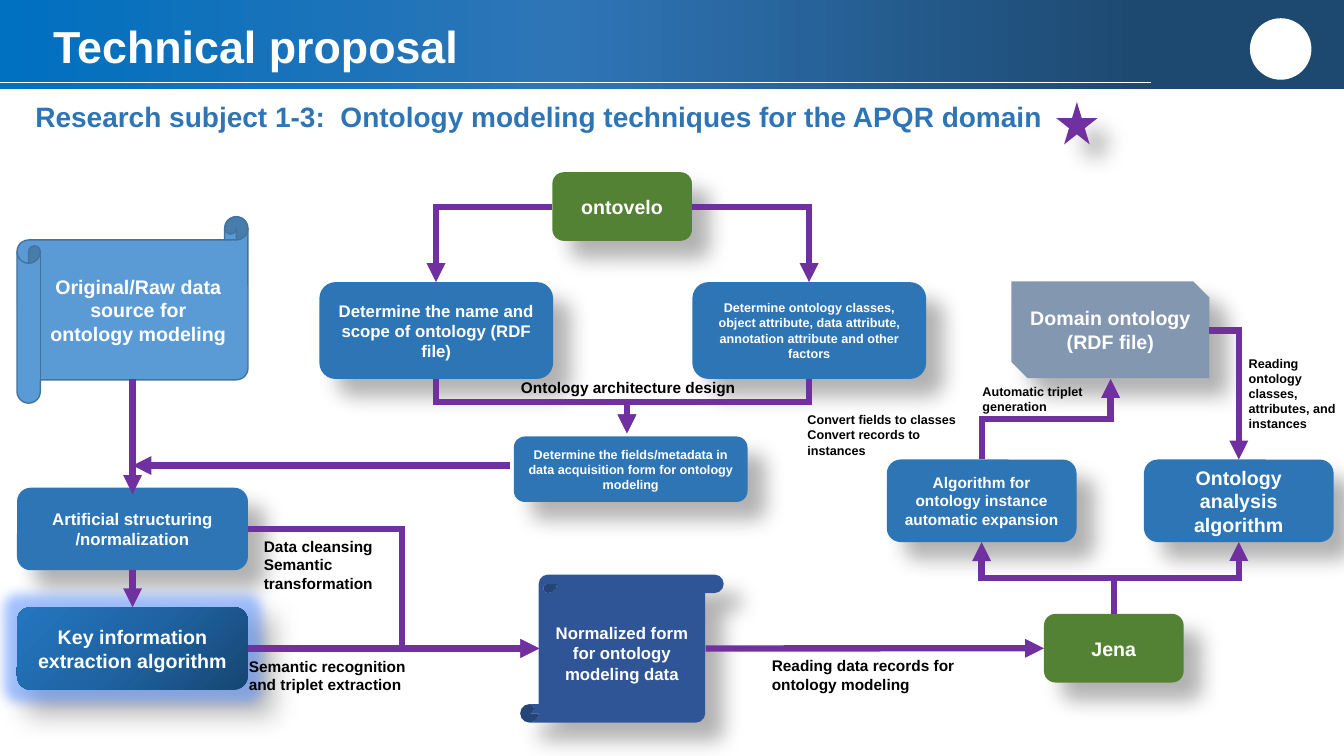
from dataclasses import dataclass
from typing import Optional

import lxml.etree
import pptx
import pptx.dml.color
import pptx.enum.shapes
import pptx.enum.text
import pptx.oxml.ns
import pptx.util

Cm, Pt = pptx.util.Cm, pptx.util.Pt
RGB = pptx.dml.color.RGBColor
Kind = pptx.enum.shapes.MSO_SHAPE
Link = pptx.enum.shapes.MSO_CONNECTOR
Align = pptx.enum.text.PP_ALIGN
Anchor = pptx.enum.text.MSO_ANCHOR
qn = pptx.oxml.ns.qn

WHITE = RGB(0xFF, 0xFF, 0xFF)
BLACK = RGB(0, 0, 0)
BLUE = RGB(0x2E, 0x75, 0xB6)
NAVY = RGB(0x2F, 0x55, 0x97)
SKY = RGB(0x5B, 0x9B, 0xD5)
EDGE = RGB(0x43, 0x73, 0x9E)
GREEN = RGB(0x54, 0x82, 0x35)
SLATE = RGB(0x84, 0x97, 0xB0)
PURPLE = RGB(0x70, 0x30, 0xA0)
GLOW = RGB(0x66, 0x99, 0xFF)
BANNER = [(14, RGB(0x1D, 0x48, 0x6F)), (58, BLUE), (100, RGB(0, 0x70, 0xC0))]
SHEEN = [(0, RGB(0x16, 0x46, 0x72)), (50, RGB(0x1F, 0x63, 0xA2)), (100, RGB(0x24, 0x76, 0xC0))]


@dataclass
class Box:
    name: str
    x: float
    y: float
    w: float
    h: float
    fill: RGB
    text: str = ""
    size: int = 12
    kind: Kind = Kind.ROUNDED_RECTANGLE
    shade: bool = True


@dataclass
class Arrow:
    x1: float
    y1: float
    x2: float
    y2: float
    start: Optional[tuple[str, int]] = None
    end: Optional[tuple[str, int]] = None


@dataclass
class Bend:
    """Elbow line; turn is the share of the way to the first corner, None for one corner."""
    x1: float
    y1: float
    x2: float
    y2: float
    turn: Optional[float] = None
    down: bool = False


@dataclass
class Note:
    x: float
    y: float
    w: float
    h: float
    text: str
    size: int
    color: RGB = BLACK
    inset: float = 0.25
    wrap: bool = True


BOXES = [
    Box("scope", 8.05, 7.11, 5.89, 2.44, BLUE, "Determine the name and scope of ontology (RDF file)"),
    Box("star", 26.62, 2.57, 1.04, 1.07, PURPLE, kind=Kind.STAR_5_POINT),
    Box("class", 17.45, 7.11, 5.89, 2.44, BLUE, "Determine ontology classes, object attribute, "
        "data attribute, annotation attribute and other factors", 9),
    Box("field", 12.95, 11, 5.89, 1.65, BLUE,
        "Determine the fields/metadata in data acquisition form for ontology modeling", 9),
    Box("tool", 13.92, 4.34, 3.52, 1.73, GREEN, "ontovelo", 14),
    Box("form", 13.11, 14.48, 5.13, 3.73, NAVY, "Normalized form for ontology modeling data",
        kind=Kind.VERTICAL_SCROLL),
    Box("raw", 0.43, 5.46, 5.82, 4.7, SKY, "Original/Raw data source for ontology modeling", 14,
        Kind.HORIZONTAL_SCROLL, False),
    Box("clean", 0.43, 12.29, 5.82, 2.08, BLUE, "Artificial structuring /normalization"),
    Box("key", 0.43, 15.3, 5.82, 2.08, BLUE, "Key information extraction algorithm", 14),
    Box("jena", 26.31, 15.47, 3.52, 1.73, GREEN, "Jena", 14),
    Box("expand", 22.35, 11.58, 4.78, 2.08, BLUE,
        "Algorithm for ontology instance automatic expansion", 11),
    Box("domain", 25.49, 7.09, 4.99, 2.44, SLATE, "Domain ontology (RDF file)", 14,
        Kind.SNIP_2_DIAG_RECTANGLE),
    Box("study", 28.83, 11.58, 4.78, 2.08, BLUE, "Ontology analysis algorithm", 14),
]
ARROWS = [
    Arrow(3.34, 9.55, 3.34, 12.45),
    Arrow(3.34, 14.37, 3.34, 15.3, ("clean", 2), ("key", 0)),
    Arrow(6.25, 16.34, 13.59, 16.34, ("key", 3)),
    Arrow(12.85, 11.73, 3.34, 11.73),
    Arrow(17.78, 16.34, 26.31, 16.34, None, ("jena", 1)),
]
BENDS = [
    Bend(6.25, 13.33, 13.59, 16.34, 0.53),
    Bend(13.92, 5.21, 10.99, 7.11),
    Bend(17.44, 5.21, 20.39, 7.11),
    Bend(10.99, 9.55, 15.8, 10.92, 0.43, True),
    Bend(20.39, 9.55, 15.8, 10.92, 0.43, True),
    Bend(28.07, 15.47, 24.74, 13.66, 0.5, True),
    Bend(24.74, 11.58, 27.99, 9.55, 0.5, True),
    Bend(30.48, 8.33, 31.22, 11.58),
    Bend(27.71, 14.57, 31.22, 13.66),
]
NOTES = [
    Note(1.09, 0.53, 28.5, 1.22, "Technical proposal", 32, WHITE),
    Note(0.64, 2.38, 26.09, 1.12,
         "Research subject 1-3:  Ontology modeling techniques for the APQR domain", 20, BLUE, wrap=False),
    Note(6.65, 13.41, 3.3, 1.68, "Data cleansing\nSemantic transformation", 11, inset=0),
    Note(6.02, 16.43, 4.98, 1.19, "Semantic recognition and triplet extraction", 11),
    Note(12.88, 9.4, 6.05, 0.74, "Ontology architecture design", 11),
    Note(19.2, 16.41, 5.69, 1.19, "Reading data records for ontology modeling", 11),
    Note(20.35, 10.26, 4.22, 1.42, "Convert fields to classes\nConvert records to instances", 9, inset=0),
    Note(31.22, 8.84, 2.72, 2.18, "Reading ontology classes, attributes, and instances", 9),
    Note(24.51, 9.55, 3.81, 1.02, "Automatic triplet generation", 9),
]


def add(parent, tag: str, **attrs):
    return lxml.etree.SubElement(parent, qn(tag), {k: str(v) for k, v in attrs.items()})


def tint(parent, color: RGB, alpha: int) -> None:
    add(add(parent, "a:srgbClr", val=color), "a:alpha", val=alpha * 1000)


def blend(shape, stops: list, angle: int) -> None:
    shape.fill.background()
    spot = shape.element.spPr.find(qn("a:noFill"))
    grad = lxml.etree.Element(qn("a:gradFill"), rotWithShape="1")
    row = add(grad, "a:gsLst")
    for pos, color in stops:
        add(add(row, "a:gs", pos=pos * 1000), "a:srgbClr", val=color)
    add(grad, "a:lin", ang=angle * 60000, scaled=0)
    spot.getparent().replace(spot, grad)


def write(frame, text: str, size: int, color: RGB, align: Align) -> None:
    frame.text = text
    for para in frame.paragraphs:
        para.alignment = align
        font = para.font
        font.name, font.size, font.bold = "Arial", Pt(size), True
        font.color.rgb = color


def draw_box(slide, box: Box):
    shape = slide.shapes.add_shape(box.kind, Cm(box.x), Cm(box.y), Cm(box.w), Cm(box.h))
    shape.fill.solid()
    shape.fill.fore_color.rgb = box.fill
    shape.line.fill.background()
    shape.shadow.inherit = False
    if box.shade:
        glow = shape.element.spPr.find(qn("a:effectLst"))
        if box.name == "key":
            tint(add(glow, "a:glow", rad=Pt(18)), GLOW, 60)
        tint(add(glow, "a:outerShdw", blurRad=Pt(15), dist=Pt(18), dir=45 * 60000,
                 algn="tl", rotWithShape=0), BLACK, 30)
    if box.text:
        shape.text_frame.vertical_anchor = Anchor.MIDDLE
        write(shape.text_frame, box.text, box.size, WHITE, Align.CENTER)
    return shape


def draw_line(slide, kind: Link, ends: tuple, color: RGB = PURPLE, width: float = 4.5, head: bool = True):
    line = slide.shapes.add_connector(kind, *(Cm(v) for v in ends))
    line.line.color.rgb = color
    line.line.width = Pt(width)
    if head:
        ln = line.element.spPr.find(qn("a:ln"))
        add(ln, "a:miter", lim=800000)
        add(ln, "a:tailEnd", type="triangle")
    add(line.element.spPr, "a:effectLst")
    return line


def draw_bend(slide, bend: Bend) -> None:
    dx, dy = bend.x2 - bend.x1, bend.y2 - bend.y1
    cx, cy = bend.x1 + dx / 2, bend.y1 + dy / 2
    if bend.down:  # laid out sideways, then turned by 90 degrees
        dx, dy = dy, -dx
    ends = (cx - dx / 2, cy - dy / 2, cx + dx / 2, cy + dy / 2)
    prop = draw_line(slide, Link.ELBOW, ends).element.spPr
    if bend.down:
        prop.find(qn("a:xfrm")).set("rot", str(90 * 60000))
    geom = prop.find(qn("a:prstGeom"))
    if bend.turn is None:
        geom.set("prst", "bentConnector2")
    else:
        add(geom.find(qn("a:avLst")), "a:gd", name="adj1", fmla=f"val {round(bend.turn * 100000)}")


def draw_note(slide, note: Note) -> None:
    frame = slide.shapes.add_textbox(Cm(note.x), Cm(note.y), Cm(note.w), Cm(note.h)).text_frame
    frame.word_wrap = note.wrap
    frame.margin_left = frame.margin_right = Cm(note.inset)
    frame.vertical_anchor = Anchor.MIDDLE if note.color == WHITE else Anchor.TOP
    write(frame, note.text, note.size, note.color, Align.LEFT)


def main() -> None:
    deck = pptx.Presentation()
    deck.slide_width, deck.slide_height = Cm(33.87), Cm(19.05)
    slide = deck.slides.add_slide(deck.slide_layouts[6])
    # Header band with a plain emblem
    band = draw_box(slide, Box("band", 0, 0, 33.87, 2.25, BLUE, kind=Kind.RECTANGLE, shade=False))
    blend(band, BANNER, 180)
    draw_line(slide, Link.STRAIGHT, (0, 2.07, 29.01, 2.07), WHITE, 0.5, False)
    draw_box(slide, Box("emblem", 31.5, 0.46, 1.55, 1.55, WHITE, kind=Kind.OVAL, shade=False))
    # Flow boxes
    made = {box.name: draw_box(slide, box) for box in BOXES}
    blend(made["key"], SHEEN, 225)
    made["raw"].line.color.rgb = EDGE
    made["raw"].line.width = Pt(1)
    # Arrows
    for item in ARROWS:
        line = draw_line(slide, Link.STRAIGHT, (item.x1, item.y1, item.x2, item.y2))
        if item.start:
            line.begin_connect(made[item.start[0]], item.start[1])
        if item.end:
            line.end_connect(made[item.end[0]], item.end[1])
    for bend in BENDS:
        draw_bend(slide, bend)
    # Title and labels
    for note in NOTES:
        draw_note(slide, note)
    deck.save("out.pptx")


if __name__ == "__main__":
    main()
